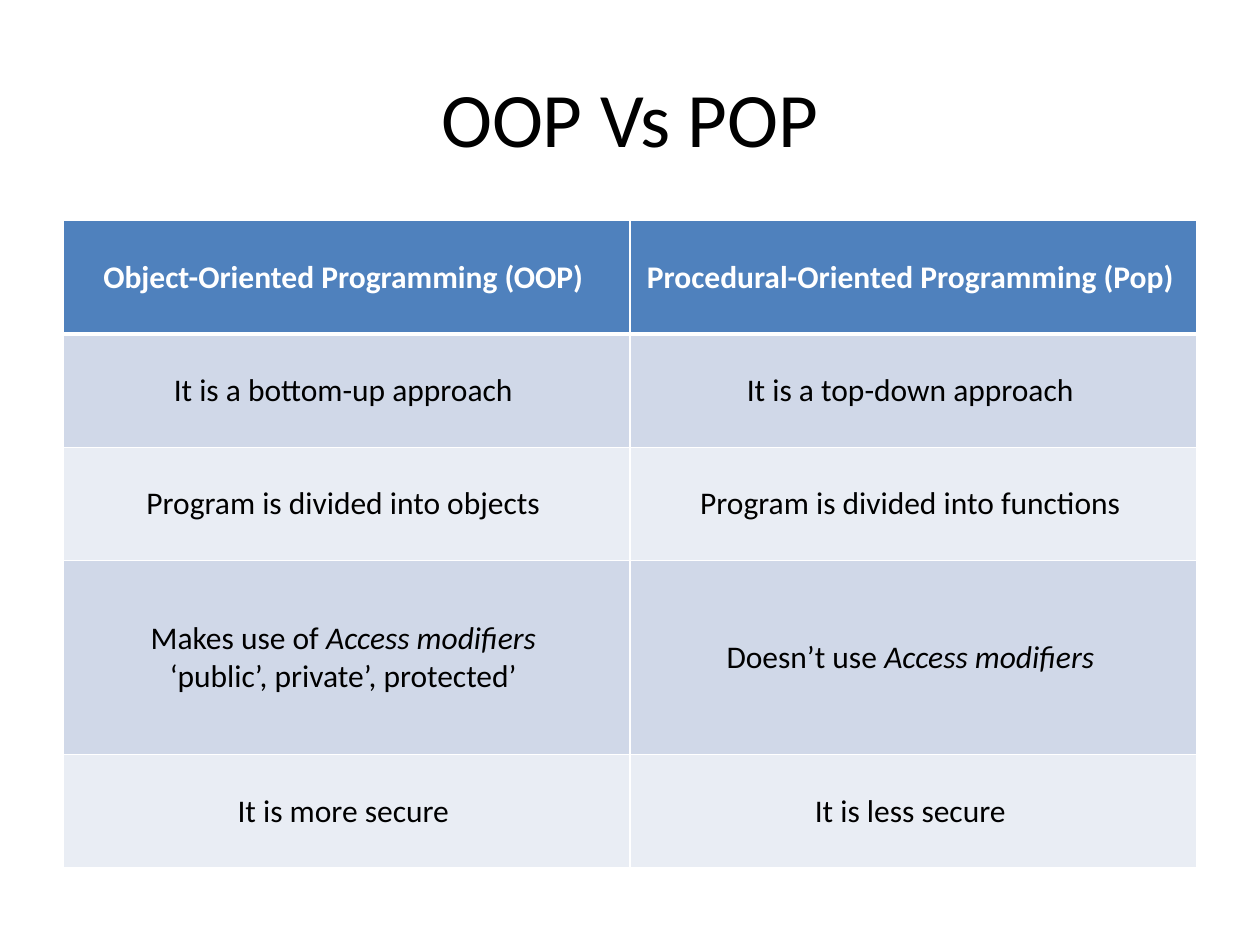
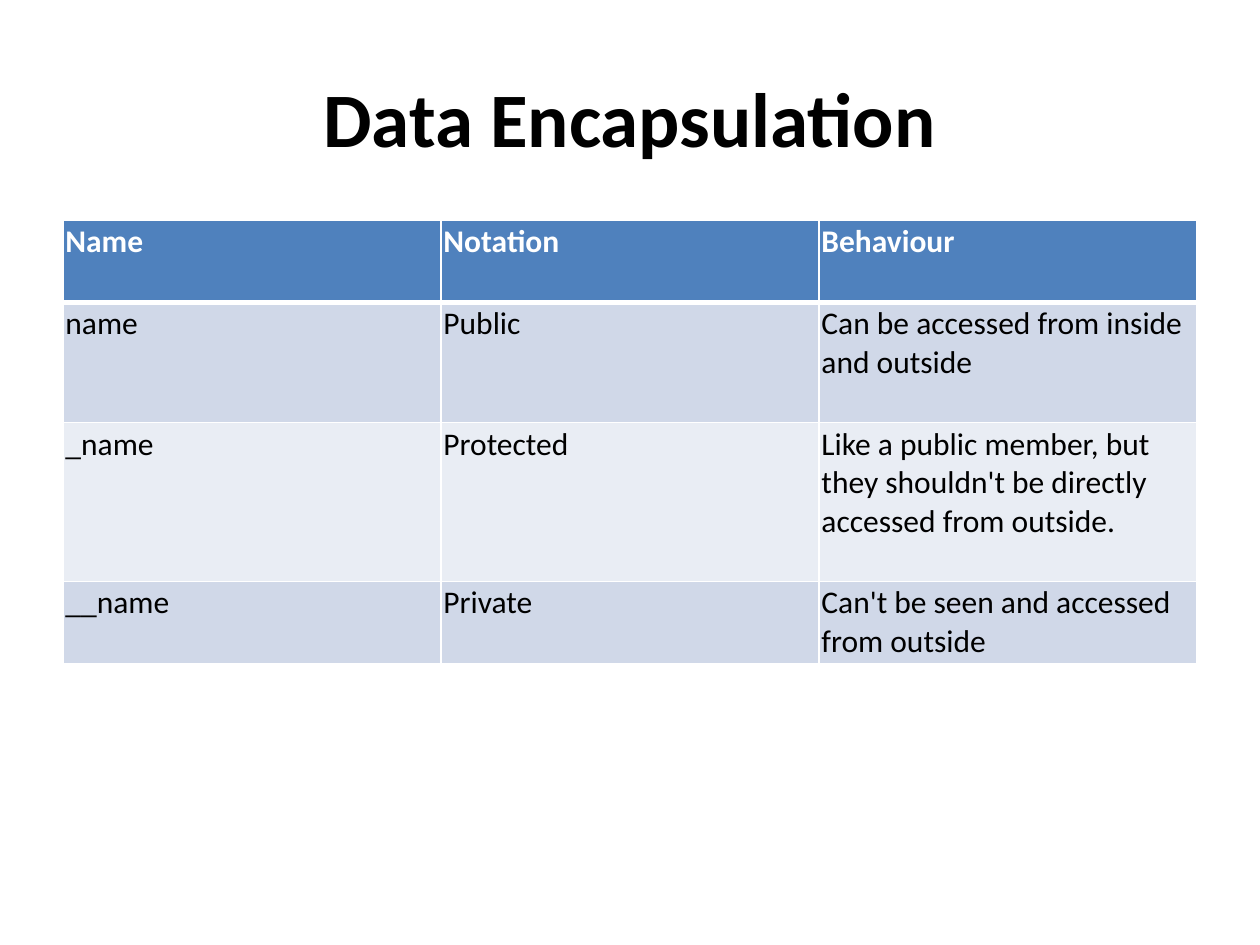
import pptx
import pptx.util
import pptx.dml.color
import pptx.enum.text
import pptx.oxml.ns
import lxml.etree

Inches, Pt = pptx.util.Inches, pptx.util.Pt
ALIGN, ANCHOR = pptx.enum.text.PP_ALIGN, pptx.enum.text.MSO_ANCHOR

FONT = "Calibri"
BLACK, WHITE = "000000", "FFFFFF"
HEADER_FILL = "4F81BD"
BAND_FILLS = ("D0D8E8", "E9EDF4")
LEFT, WIDTH, TITLE_TOP, TITLE_HEIGHT, TABLE_TOP = 0.5, 9, 0.3, 1.25, 1.75
LINE_HEIGHT, SLIM_MARGIN = 0.305, 0.02


def colour(hex_value):
    return pptx.dml.color.RGBColor.from_string(hex_value)


def set_all(target, values):
    for name, value in values.items():
        setattr(target, name, value)


def add_borders(cell, widths):
    """Draw white cell edges; widths gives points for each side."""
    properties = cell._tc.get_or_add_tcPr()
    qn = pptx.oxml.ns.qn
    for side, points in widths.items():
        edge = lxml.etree.SubElement(properties, qn("a:ln" + side), w=str(Pt(points)))
        fill = lxml.etree.SubElement(edge, qn("a:solidFill"))
        lxml.etree.SubElement(fill, qn("a:srgbClr"), val=WHITE)


class Builder:
    def __init__(self):
        self.deck = pptx.Presentation()
        self.deck.slide_width, self.deck.slide_height = Inches(10), Inches(7.5)
        self.page = None

    def span(self, para, text, size, ink, **style):
        span = para.add_run()
        span.text = text
        set_all(span.font, {"name": FONT, "size": Pt(size), **style})
        span.font.color.rgb = colour(ink)

    def titled_page(self, text, bold=False):
        self.page = self.deck.slides.add_slide(self.deck.slide_layouts[5])
        title = self.page.shapes.title
        set_all(title, {"left": Inches(LEFT), "top": Inches(TITLE_TOP),
                        "width": Inches(WIDTH), "height": Inches(TITLE_HEIGHT)})
        title.text_frame.vertical_anchor = ANCHOR.MIDDLE
        para = title.text_frame.paragraphs[0]
        para.alignment = ALIGN.CENTER
        self.span(para, text, 44, BLACK, bold=bold)

    def table(self, rows, heights, align, cell_format):
        """Add a banded table; text between asterisks is italic."""
        columns = len(rows[0])
        frame = self.page.shapes.add_table(
            len(rows), columns, Inches(LEFT), Inches(TABLE_TOP),
            Inches(WIDTH), Inches(sum(heights)))
        grid = frame.table
        for column in grid.columns:
            column.width = Inches(WIDTH / columns)
        for r, (texts, height) in enumerate(zip(rows, heights)):
            grid.rows[r].height = Inches(height)
            for c, text in enumerate(texts):
                cell = grid.cell(r, c)
                set_all(cell, cell_format)
                # A thick line parts the header from the body
                add_borders(cell, {"L": 1, "R": 1, "T": 3 if r == 1 else 1,
                                   "B": 3 if r == 0 else 1})
                cell.fill.solid()
                cell.fill.fore_color.rgb = colour(
                    BAND_FILLS[(r - 1) % 2] if r else HEADER_FILL)
                self.cell_text(cell, text, align, header=r == 0)

    def cell_text(self, cell, text, align, header):
        for number, line in enumerate(text.split("\n")):
            box = cell.text_frame
            para = box.add_paragraph() if number else box.paragraphs[0]
            para.alignment = align
            for part, piece in enumerate(line.split("*")):
                if piece:
                    self.span(para, piece, 18, WHITE if header else BLACK,
                              bold=header, italic=part % 2 == 1)


def main():
    show = Builder()

    # Comparison of the two paradigms
    show.titled_page("OOP Vs POP")
    show.table(
        [("Object-Oriented Programming (OOP)", "Procedural-Oriented Programming (Pop)"),
         ("It is a bottom-up approach", "It is a top-down approach"),
         ("Program is divided into objects", "Program is divided into functions"),
         ("Makes use of *Access modifiers*\n‘public’, private’, protected’",
          "Doesn’t use *Access modifiers*"),
         ("It is more secure", "It is less secure")],
        [0.9, 0.9, 0.9, 1.54, 0.9], ALIGN.CENTER,
        {"vertical_anchor": ANCHOR.MIDDLE, "margin_left": Inches(0.05),
         "margin_top": Inches(0.05), "margin_right": Inches(0.1),
         "margin_bottom": Inches(0.05)})

    # Access levels; row heights follow the number of text lines they hold
    show.titled_page("Data Encapsulation", bold=True)
    margins = {"margin_" + side: Inches(SLIM_MARGIN)
               for side in ("left", "top", "right", "bottom")}
    show.table(
        [("Name", "Notation", "Behaviour"),
         ("name", "Public", "Can be accessed from inside and outside"),
         ("_name", "Protected", "Like a public member, but they shouldn't be "
          "directly accessed from outside."),
         ("__name", "Private", "Can't be seen and accessed from outside")],
        [lines * LINE_HEIGHT + 2 * SLIM_MARGIN for lines in (2, 3, 4, 2)],
        ALIGN.LEFT, {"vertical_anchor": ANCHOR.TOP, **margins})

    show.deck.save("out.pptx")


if __name__ == "__main__":
    main()
